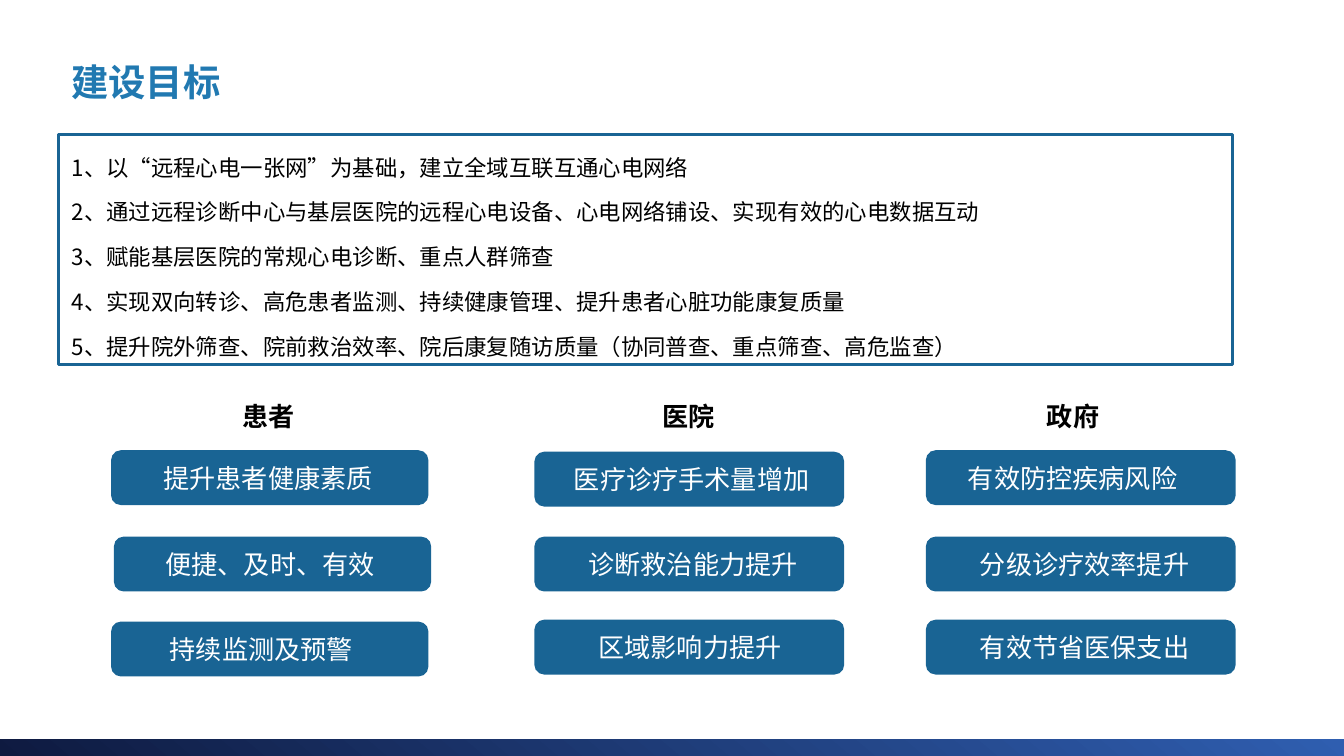
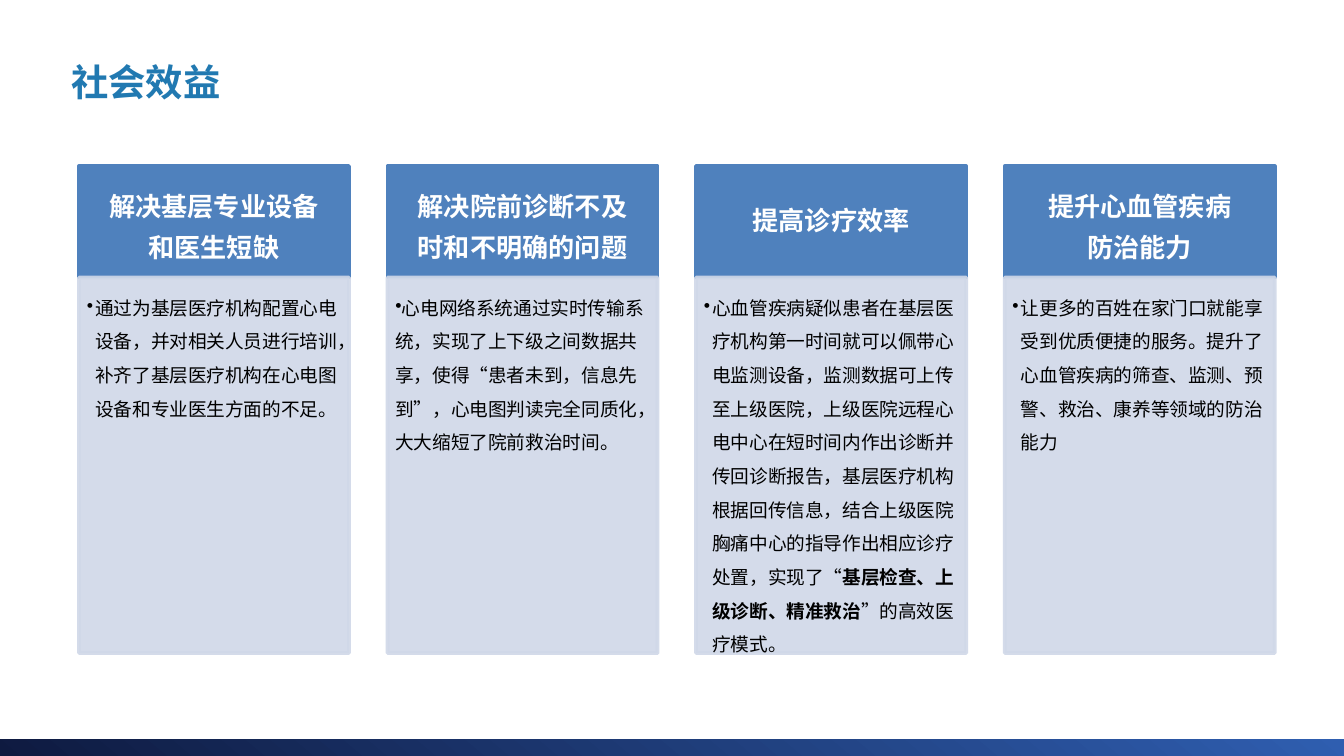
from lxml import etree
from pptx import Presentation
from pptx.dml.color import RGBColor
from pptx.enum.shapes import MSO_SHAPE
from pptx.enum.text import MSO_ANCHOR, PP_ALIGN
from pptx.oxml.ns import qn
from pptx.util import Pt

RECT, ROUNDED = MSO_SHAPE.RECTANGLE, MSO_SHAPE.ROUNDED_RECTANGLE
TOP, MIDDLE = MSO_ANCHOR.TOP, MSO_ANCHOR.MIDDLE
LEFT, CENTER = PP_ALIGN.LEFT, PP_ALIGN.CENTER

FONT = "Noto Sans CJK SC"
TITLE_BLUE, PILL_BLUE = "2179B1", "196494"
CARD_BLUE, CARD_PALE = "4F81BD", "D0D8E8"
BAND_DARK, BAND_LIGHT = "0E1A40", "2F5EB0"
BLACK, WHITE = "000000", "FFFFFF"

# (text, space before in points)
GOALS = [
    ("1、以“远程心电一张网”为基础，建立全域互联互通心电网络", 0),
    ("2、通过远程诊断中心与基层医院的远程心电设备、心电网络铺设、实现有效的心电数据互动", 8.9),
    ("3、赋能基层医院的常规心电诊断、重点人群筛查", 9.8),
    ("4、实现双向转诊、高危患者监测、持续健康管理、提升患者心脏功能康复质量", 9.6),
    ("5、提升院外筛查、院前救治效率、院后康复随访质量（协同普查、重点筛查、高危监查）", 9.8),
]

# heading, heading left and width, pill width,
# pills: (text, left, top, sideways shift of the text)
GROUPS = [
    ("患者", 70.6, 146.2, 170, [
        ("提升患者健康素质", 59.5, 241.2, -0.8),
        ("便捷、及时、有效", 61, 287.5, -1.2),
        ("持续监测及预警", 59.5, 333, -4.4)]),
    ("医院", 286.6, 164.2, 166, [
        ("医疗诊疗手术量增加", 286.3, 242, 1.4),
        ("诊断救治能力提升", 286.3, 287.5, 2.1),
        ("区域影响力提升", 286.3, 332, 0.5)]),
    ("政府", 501.8, 146.2, 166, [
        ("有效防控疾病风险", 496, 241.2, -4.3),
        ("分级诊疗效率提升", 496, 287.5, 2.1),
        ("有效节省医保支出", 496, 332, 2.1)]),
]

# heading lines, heading line spacing, body left margin, body runs (text, bold)
CARDS = [
    (["解决基层专业设备和医生短缺"], 1.3, 4.5,
     [("通过为基层医疗机构配置心电设备，并对相关人员进行培训，补齐了基层医疗机构"
       "在心电图设备和专业医生方面的不足。", False)]),
    (["解决院前诊断不及时和不明确的问题"], 1.3, 0,
     [("心电网络系统通过实时传输系统，实现了上下级之间数据共享，使得“患者未到，"
       "信息先到”，心电图判读完全同质化，大大缩短了院前救治时间。", False)]),
    (["提高诊疗效率"], 0.9, 4.5,
     [("心血管疾病疑似患者在基层医疗机构第一时间就可以佩带心电监测设备，监测数据"
       "可上传至上级医院，上级医院远程心电中心在短时间内作出诊断并传回诊断报告，"
       "基层医疗机构根据回传信息，结合上级医院胸痛中心的指导作出相应诊疗处置，"
       "实现了“", False),
      ("基层检查、上级诊断、精准救治", True),
      ("”的高效医疗模式。", False)]),
    (["提升心血管疾病", "防治能力"], 1.3, 4.5,
     [("让更多的百姓在家门口就能享受到优质便捷的服务。提升了心血管疾病的筛查、"
       "监测、预警、救治、康养等领域的防治能力", False)]),
]
CARD_LEFT, CARD_PITCH, CARD_W = 42.3, 165.3, 144.7
HEAD_TOP, HEAD_H, BODY_H = 89, 59.7, 201.2


def rgb(value):
    return RGBColor.from_string(value)


def add_box(slide, kind, x, y, w, h, fill=None, line=None, line_w=1.5):
    sp = slide.shapes.add_shape(kind, Pt(x), Pt(y), Pt(w), Pt(h))
    sp.shadow.inherit = False
    if fill:
        sp.fill.solid()
        sp.fill.fore_color.rgb = rgb(fill)
    else:
        sp.fill.background()
    if line:
        sp.line.color.rgb = rgb(line)
        sp.line.width = Pt(line_w)
    else:
        sp.line.fill.background()
    return sp


def add_text_box(slide, x, y, w, h):
    return slide.shapes.add_textbox(Pt(x), Pt(y), Pt(w), Pt(h))


def set_frame(sp, insets=(0, 0, 0, 0), anchor=TOP):
    """Wrap the text and set its left, top, right and bottom insets."""
    tf = sp.text_frame
    tf.word_wrap = True
    tf.vertical_anchor = anchor
    (tf.margin_left, tf.margin_top,
     tf.margin_right, tf.margin_bottom) = map(Pt, insets)
    return tf


def add_paragraph(tf, runs, size, color, align=LEFT, spacing=None, before=0,
                  margin=0, indent=0, bullet=None):
    """Fill the empty first paragraph or append one; runs are (text, bold)."""
    p = tf.paragraphs[0]
    if p.runs:
        p = tf.add_paragraph()
    p.alignment = align
    if spacing:
        p.line_spacing = spacing
    if before:
        p.space_before = Pt(before)
    pPr = p._p.get_or_add_pPr()
    pPr.set("marL", str(Pt(margin)))
    pPr.set("indent", str(Pt(indent)))
    if bullet:
        etree.SubElement(pPr, qn("a:buChar")).set("char", bullet)
    for text, bold in runs:
        r = p.add_run()
        r.text = text
        r.font.size = Pt(size)
        r.font.bold = bold
        r.font.color.rgb = rgb(color)
        r.font.name = FONT
        latin = r._r.rPr.find(qn("a:latin"))
        ea = latin.makeelement(qn("a:ea"), {"typeface": FONT})
        latin.addnext(ea)


def set_opacity(sp, percent):
    """Apply the opacity to both fill and line."""
    for clr in sp._element.spPr.iter(qn("a:srgbClr")):
        etree.SubElement(clr, qn("a:alpha")).set("val", str(percent * 1000))


def new_slide(prs, title):
    """Add a slide with the shared bottom band and title."""
    s = prs.slides.add_slide(prs.slide_layouts[6])
    band = add_box(s, RECT, 0, 396, 720, 10.8)
    band.fill.gradient()
    band.fill.gradient_angle = 50
    for stop, color in zip(band.fill.gradient_stops, (BAND_DARK, BAND_LIGHT)):
        stop.color.rgb = rgb(color)
    tf = set_frame(add_text_box(s, 31, 4.3, 516, 57), (7.2, 3.6, 7.2, 3.6))
    add_paragraph(tf, [(title, True)], 20, TITLE_BLUE, spacing=2.0)
    return s


def build_goals(prs):
    s = new_slide(prs, "建设目标")
    for heading, x, w, pill_w, pills in GROUPS:
        tf = set_frame(add_text_box(s, x, 214, w, 18), (0, 0.7, 0, 0))
        add_paragraph(tf, [(heading, True)], 14, BLACK, CENTER)
        for text, left, top, shift in pills:
            sp = add_box(s, ROUNDED, left, top, pill_w, 29.4, PILL_BLUE)
            sp.adjustments[0] = 0.18
            insets = (max(0, 2 * shift), 0, max(0, -2 * shift), 0)
            add_paragraph(set_frame(sp, insets, MIDDLE), [(text, False)],
                          14, WHITE, CENTER)
    frame = add_box(s, RECT, 31.2, 72, 629.2, 123.2, line=PILL_BLUE)
    tf = set_frame(frame, (0, 10.8, 0, 0))
    for text, before in GOALS:
        add_paragraph(tf, [(text, False)], 12, BLACK, before=before, margin=7.2)


def build_benefits(prs):
    s = new_slide(prs, "社会效益")
    for i, (heading, spacing, margin, runs) in enumerate(CARDS):
        x = CARD_LEFT + i * CARD_PITCH
        head = add_box(s, RECT, x, HEAD_TOP, CARD_W, HEAD_H,
                       CARD_BLUE, CARD_BLUE, 2)
        tf = set_frame(head, (13.7, 7.9, 13.7, 7.9), MIDDLE)
        for line in heading:
            add_paragraph(tf, [(line, True)], 14, WHITE, CENTER, spacing)
        body = add_box(s, RECT, x, HEAD_TOP + HEAD_H, CARD_W, BODY_H,
                       CARD_PALE, CARD_PALE, 2)
        set_opacity(body, 90)
        add_paragraph(set_frame(body, (4.2, 4.2, 5.6, 6.3)), runs, 10, BLACK,
                      spacing=1.5, margin=margin, indent=-4.5, bullet="•")


def main():
    prs = Presentation()
    prs.slide_width, prs.slide_height = Pt(720), Pt(405)
    build_goals(prs)
    build_benefits(prs)
    prs.save("out.pptx")


if __name__ == "__main__":
    main()
